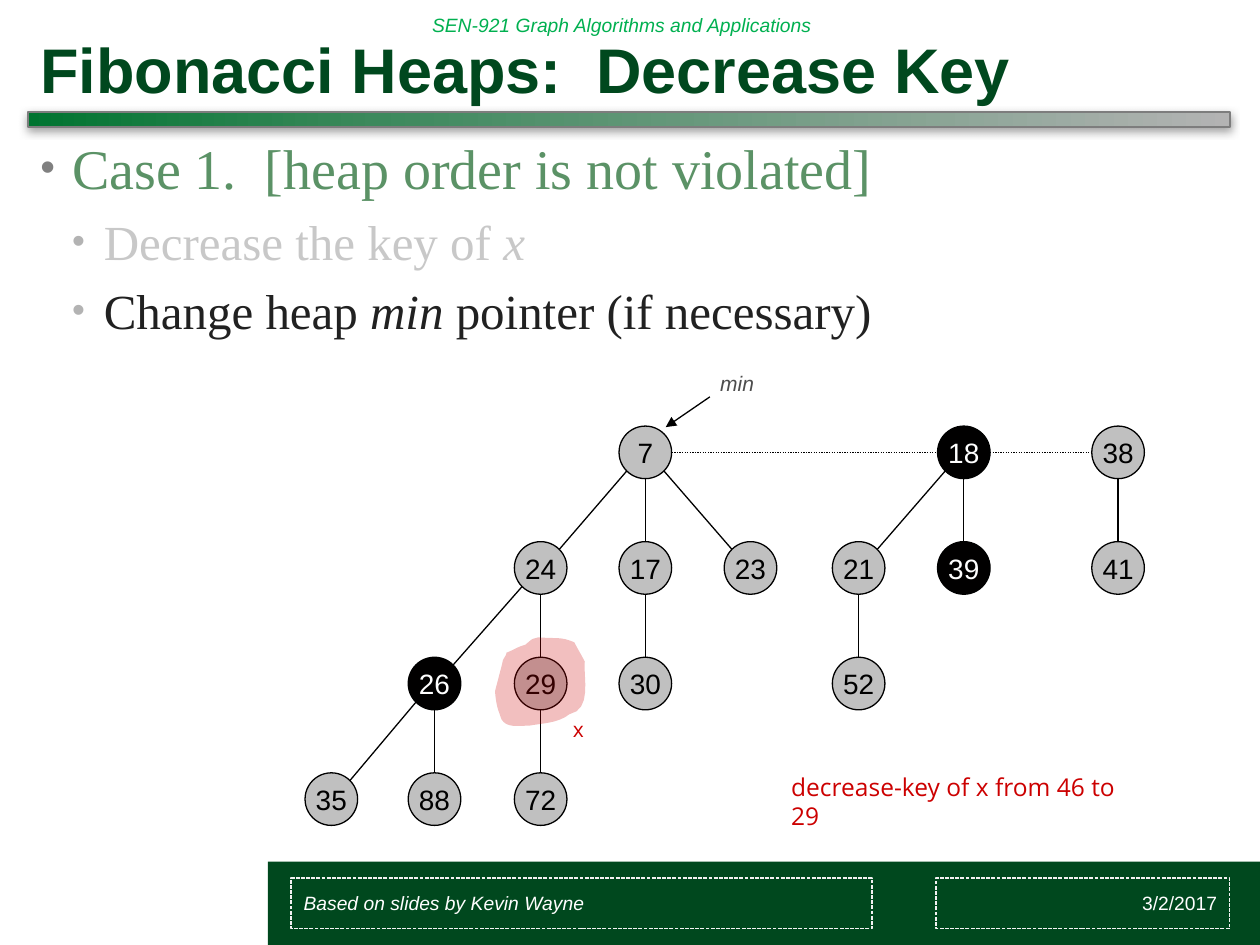
import math

import pptx
import pptx.dml.color
import pptx.enum.dml
import pptx.enum.shapes
import pptx.enum.text
import pptx.oxml
import pptx.oxml.ns
import pptx.util
from pptx.util import Cm

COLORS = {
    "green": "00481E", "header": "00B050", "case": "5B9266", "faded": "C8C8C8",
    "body": "212121", "bullet": "808080", "sub_bullet": "B3B3B3", "frame": "F2F2F2",
    "bar_line": "7D7D7D", "node": "C0C0C0", "marked": "010000", "black": "000000",
    "white": "FFFFFF", "min": "4D4D4D", "red": "CC0000",
}
BAR_STOPS = [(0, "007430"), (29, "3C895C"), (100, "B3B3B3")]

TITLE = "Fibonacci Heaps:  Decrease Key"
BULLETS = [
    (0, 32, "case", [("Case 1.  [heap order is not violated]", False)]),
    (1, 28, "faded", [("Decrease the key of ", False), ("x", True)]),
    (1, 28, "body", [("Change heap ", False), ("min", True), (" pointer (if necessary)", False)]),
]
LABELS = [
    ("SEN-921 Graph Algorithms and Applications", (8.46, 0, 11.71, 1.02), True,
     dict(size=11, color="header", italic=True)),
    ("min", (14.27, 7.34, 1.19, 0.76), False, dict(size=12, color="min", italic=True)),
    ("x", (11.3, 14.33, 0.71, 0.76), False, dict(size=12, color="red", font="Open Sans")),
    ("decrease-key of x from 46 to 29", (15.7, 15.44, 7.49, 0.86), True,
     dict(size=14, color="red", font="Open Sans")),
]
FOOTERS = [
    ("3/2/2017", (18.87, 17.7, 5.92, 1.02), dict(align="RIGHT")),
    ("Based on slides by Kevin Wayne", (5.87, 17.7, 11.71, 1.02), dict(italic=True)),
]

COLUMNS = [6.68, 8.76, 10.9, 13.01, 15.13, 17.31, 19.43, 22.54]
TOP_ROW, ROW_STEP, RADIUS = 9.12, 2.33, 0.53
NODES = {
    7: (3, 0), 18: (6, 0), 38: (7, 0),
    24: (2, 1), 17: (3, 1), 23: (4, 1), 21: (5, 1), 39: (6, 1), 41: (7, 1),
    26: (1, 2), 29: (2, 2), 30: (3, 2), 52: (5, 2),
    35: (0, 3), 88: (1, 3), 72: (2, 3),
}
MARKED = {18, 26, 39}
CHILDREN = {7: [24, 17, 23], 18: [21, 39], 38: [41], 24: [26, 29], 17: [30],
            21: [52], 26: [35, 88], 29: [72]}
ROOTS = [7, 18, 38]
MIN_ARROW = ((14.31, 8), (13.42, 8.61))

HIGHLIGHT_START = (10.21, 13.16)
HIGHLIGHT_CURVES = [
    ((10.34, 13.11), (10.46, 13.03), (10.59, 13)),
    ((10.77, 12.85), (10.69, 12.9), (10.85, 12.85)),
    ((11.23, 12.88), (11.3, 12.83), (11.58, 12.95)),
    ((11.66, 13.11), (11.71, 13.18), (11.79, 13.34)),
    ((11.76, 13.67), (11.94, 14.3), (11.48, 14.4)),
    ((11.25, 14.58), (10.95, 14.58), (10.67, 14.63)),
    ((10.44, 14.63), (10.21, 14.68), (10.11, 14.5)),
    ((10.03, 14.27), (10.01, 14.25), (9.98, 13.94)),
    ((10.03, 13.74), (10.08, 13.56), (10.13, 13.36)),
    ((10.13, 13.28), (10.21, 13.23), HIGHLIGHT_START),
]

deck = pptx.Presentation()
deck.slide_width, deck.slide_height = Cm(25.4), Cm(19.05)
slide = deck.slides.add_slide(deck.slide_layouts[1])


def rgb(name):
    return pptx.dml.color.RGBColor.from_string(COLORS[name])


def child(parent, tag, **attributes):
    element = pptx.oxml.ns.qn(tag)
    added = parent.makeelement(element, {key: str(value) for key, value in attributes.items()})
    parent.append(added)
    return added


def write(paragraph, text, size=11, color="white", font="Arial", bold=False, italic=False,
          align="LEFT"):
    paragraph.alignment = getattr(pptx.enum.text.PP_ALIGN, align)
    run = paragraph.add_run()
    run.text = text
    run.font.size = pptx.util.Pt(size)
    run.font.name = font
    run.font.bold, run.font.italic = bold, italic
    run.font.color.rgb = rgb(color)


def place(part, box):
    part.left, part.top, part.width, part.height = map(Cm, box)


def draw(preset, box, fill=None, line=None, width=0.75):
    kind = getattr(pptx.enum.shapes.MSO_SHAPE, preset)
    shape = slide.shapes.add_shape(kind, *map(Cm, box))
    shape.shadow.inherit = False
    shape.text_frame.vertical_anchor = pptx.enum.text.MSO_ANCHOR.MIDDLE
    if fill:
        shape.fill.solid()
        shape.fill.fore_color.rgb = rgb(fill)
    else:
        shape.fill.background()
    if line:
        shape.line.color.rgb = rgb(line)
        shape.line.width = pptx.util.Pt(width)
    else:
        shape.line.fill.background()
    return shape


def connect(start, end, dash=None):
    edge = slide.shapes.add_connector(pptx.enum.shapes.MSO_CONNECTOR.STRAIGHT,
                                      *map(Cm, start + end))
    edge.line.color.rgb = rgb("black")
    edge.line.width = pptx.util.Pt(0.75)
    if dash:
        edge.line.dash_style = dash
    child(edge._element.spPr, "a:effectLst")
    return edge


def center(key):
    column, row = NODES[key]
    return COLUMNS[column], TOP_ROW + row * ROW_STEP


def rim(key, degrees):
    x, y = center(key)
    angle = math.radians(degrees)
    return x + RADIUS * math.cos(angle), y + RADIUS * math.sin(angle)


draw("RECTANGLE", (5.4, 17.37, 20, 1.68), fill="green")

bar = draw("RECTANGLE", (0.56, 2.26, 24.23, 0.3), line="bar_line", width=1)
bar.fill.gradient()
bar.fill.gradient_angle = 0
stops = bar._element.spPr.find(".//" + pptx.oxml.ns.qn("a:gsLst"))
for stop in list(stops):
    stops.remove(stop)
for position, color in BAR_STOPS:
    child(child(stops, "a:gs", pos=position * 1000), "a:srgbClr", val=color)
effects = bar._element.spPr.find(pptx.oxml.ns.qn("a:effectLst"))
shadow = child(effects, "a:outerShdw", blurRad=pptx.util.Pt(5), dist=pptx.util.Pt(2),
               dir=90 * 60000, rotWithShape=0)
child(child(shadow, "a:srgbClr", val=COLORS["bullet"]), "a:alpha", val=75000)

title = slide.shapes.title
place(title, (0.56, 0.41, 24.23, 1.85))
title.text_frame.vertical_anchor = pptx.enum.text.MSO_ANCHOR.BOTTOM
write(title.text_frame.paragraphs[0], TITLE, size=36, color="green", bold=True)

body = slide.placeholders[1]
place(body, (0.56, 2.57, 24.23, 14.45))
body.text_frame.auto_size = pptx.enum.text.MSO_AUTO_SIZE.NONE
for index, (level, size, color, runs) in enumerate(BULLETS):
    paragraph = body.text_frame.add_paragraph() if index else body.text_frame.paragraphs[0]
    paragraph.level = level
    paragraph.space_before = pptx.util.Pt(6 if index else 0)
    properties = paragraph._p.get_or_add_pPr()
    properties.set("marL", str(Cm(0.64 * (level + 1))))
    properties.set("indent", str(-Cm(0.64)))
    bullet_color = COLORS["sub_bullet" if level else "bullet"]
    child(child(properties, "a:buClr"), "a:srgbClr", val=bullet_color)
    child(properties, "a:buSzPct", val=75000)
    child(properties, "a:buFont", typeface="Arial")
    child(properties, "a:buChar", char="•")
    for text, italic in runs:
        write(paragraph, text, size=size, color=color, font="Times New Roman", italic=italic)

for parent, children in CHILDREN.items():
    for key in children:
        side = NODES[key][0] - NODES[parent][0]
        lean = 45 * ((side > 0) - (side < 0))
        connect(rim(parent, 90 - lean), rim(key, 270 - lean))
for left, right in zip(ROOTS, ROOTS[1:]):
    connect(rim(left, 0), rim(right, 180), dash=pptx.enum.dml.MSO_LINE.ROUND_DOT)
arrow = connect(*MIN_ARROW)
child(arrow.line._get_or_add_ln(), "a:tailEnd", type="triangle")

for key in NODES:
    x, y = center(key)
    marked = key in MARKED
    node = draw("OVAL", (x - RADIUS, y - RADIUS, 2 * RADIUS, 2 * RADIUS),
                fill="marked" if marked else "node", line="black")
    node.text_frame.word_wrap = False
    write(node.text_frame.paragraphs[0], str(key), size=16,
          color="white" if marked else "black", align="CENTER")

for text, box, wrap, style in LABELS:
    label = slide.shapes.add_textbox(*map(Cm, box))
    label.text_frame.word_wrap = wrap
    if box[1] == 0:
        label.text_frame.vertical_anchor = pptx.enum.text.MSO_ANCHOR.MIDDLE
    write(label.text_frame.paragraphs[0], text, **style)

outline, start = [], HIGHLIGHT_START
for curve in HIGHLIGHT_CURVES:
    for step in range(1, 9):
        t = step / 8
        weights = ((1 - t) ** 3, 3 * t * (1 - t) ** 2, 3 * t * t * (1 - t), t ** 3)
        outline.append(tuple(Cm(sum(w * point[axis] for w, point in zip(weights, (start, *curve))))
                             for axis in (0, 1)))
    start = curve[-1]
builder = slide.shapes.build_freeform(*map(Cm, HIGHLIGHT_START))
builder.add_line_segments(outline, close=True)
highlight = builder.convert_to_shape()
highlight.shadow.inherit = False
highlight.fill.solid()
highlight.fill.fore_color.rgb = rgb("red")
highlight.line.fill.background()
tint = highlight._element.spPr.find(".//" + pptx.oxml.ns.qn("a:srgbClr"))
child(tint, "a:alpha", val=25000)

for text, box, style in FOOTERS:
    footer = draw("RECTANGLE", box, line="frame")
    footer.line.dash_style = pptx.enum.dml.MSO_LINE.SQUARE_DOT
    write(footer.text_frame.paragraphs[0], text, **style)

deck.save("out.pptx")
